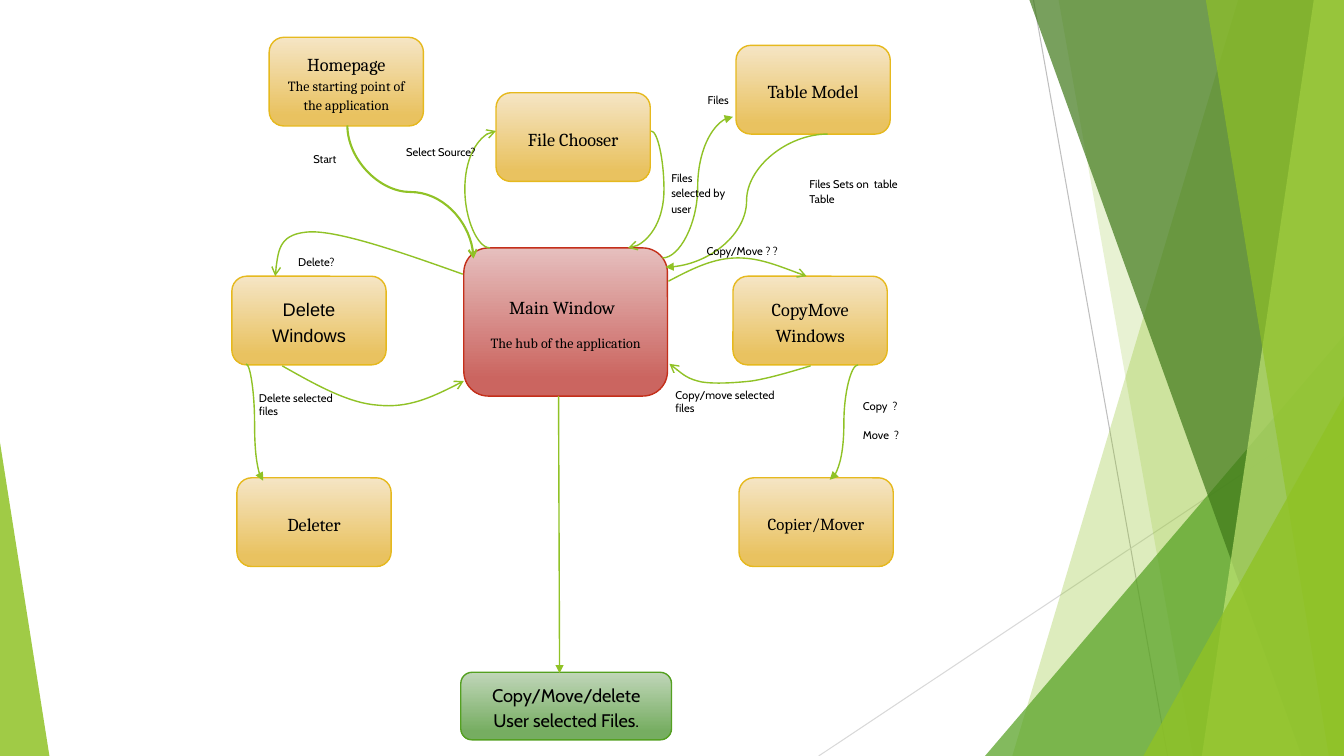
import dataclasses
import lxml.etree
import pptx
import pptx.dml.color
import pptx.enum.shapes
import pptx.enum.text
import pptx.oxml.ns
import pptx.util

Inches = pptx.util.Inches
Pt = pptx.util.Pt
qn = pptx.oxml.ns.qn
SHAPE = pptx.enum.shapes.MSO_SHAPE
CONNECTOR = pptx.enum.shapes.MSO_CONNECTOR
ALIGN = pptx.enum.text.PP_ALIGN
ANCHOR = pptx.enum.text.MSO_ANCHOR


@dataclasses.dataclass(frozen=True)
class Theme:
    text: str = "000000"
    lime: str = "90C226"
    green: str = "54A021"
    forest: str = "3F7819"
    pale: str = "C0E474"
    gray: str = "BFBFBF"
    light_gray: str = "D9D9D9"
    step: tuple = ("F5E5C5", "E9C260", "E6B91E")
    hub: tuple = ("E6BFBE", "CB6560", "C42F1A")
    result: tuple = ("C0D6B9", "76AD61", "54A021")
    serif: str = "Cambria"
    sans: str = "Cabin"
    plain: str = "Arial"
    heading: int = 13
    small_heading: int = 12
    detail: int = 10
    label: int = 8


THEME = Theme()


def rgb(value):
    return pptx.dml.color.RGBColor.from_string(value)


def write(tf, text, size=THEME.heading, font=THEME.serif, align=ALIGN.CENTER,
          spacing=1.15, after=10, indent=0):
    p = tf.add_paragraph() if tf.text else tf.paragraphs[0]
    p.alignment = align
    p.line_spacing = spacing
    p.space_after = Pt(after)
    if indent:
        p._p.get_or_add_pPr().set("marL", str(Inches(indent)))
    r = p.add_run()
    r.text = text
    r.font.size = Pt(size)
    r.font.name = font
    r.font.color.rgb = rgb(THEME.text)


class Diagram:
    def __init__(self, slide, theme):
        self.shapes = slide.shapes
        self.theme = theme

    def tint(self, sp, color, opacity):
        sp.shadow.inherit = False
        sp.line.fill.background()
        sp.fill.solid()
        sp.fill.fore_color.rgb = rgb(color)
        clr = sp._element.spPr.find(".//" + qn("a:srgbClr"))
        lxml.etree.SubElement(clr, qn("a:alpha")).set("val", str(opacity * 1000))

    def outline(self, points):
        start, *rest = [(Inches(x), Inches(y)) for x, y in points]
        return self.shapes.build_freeform(*start).add_line_segments(rest, close=False)

    def facet(self, points, color, opacity):
        builder = self.outline(points + points[:1])
        self.tint(builder.convert_to_shape(), color, opacity)

    def triangle(self, box, apex, color, opacity):
        sp = self.shapes.add_shape(SHAPE.ISOSCELES_TRIANGLE, *map(Inches, box))
        sp.adjustments[0] = apex
        self.tint(sp, color, opacity)

    def node(self, box, colors, *paragraphs):
        sp = self.shapes.add_shape(SHAPE.ROUNDED_RECTANGLE, *map(Inches, box))
        sp.shadow.inherit = False
        sp.fill.gradient()
        sp.fill.gradient_angle = 270
        for stop, color, position in zip(sp.fill.gradient_stops, colors, (0, 0.88)):
            stop.color.rgb = rgb(color)
            stop.position = position
        sp.line.color.rgb = rgb(colors[2])
        sp.line.width = Pt(1)
        sp.text_frame.vertical_anchor = ANCHOR.MIDDLE
        sp.text_frame.word_wrap = True
        for text, fmt in paragraphs:
            write(sp.text_frame, text, **fmt)

    def label(self, box, *lines, **fmt):
        tf = self.shapes.add_textbox(*map(Inches, box)).text_frame
        tf.word_wrap = True
        for text in lines:
            write(tf, text, size=self.theme.label, font=self.theme.sans,
                  align=ALIGN.LEFT, **fmt)

    def stroke(self, sp, color, width, head):
        sp.line.color.rgb = rgb(color)
        sp.line.width = Pt(width)
        if head:
            ln = sp.line._get_or_add_ln()
            lxml.etree.SubElement(ln, qn("a:tailEnd")).set("type", head)

    def connect(self, start, end, kind=CONNECTOR.CURVE, color=THEME.lime, width=1,
                head="triangle", bend=None, turned=False):
        sp = self.shapes.add_connector(kind, *map(Inches, start + end))
        self.stroke(sp, color, width, head)
        spPr = sp._element.spPr
        lxml.etree.SubElement(spPr, qn("a:effectLst"))
        if bend is not None:
            guide = lxml.etree.SubElement(spPr.find(".//" + qn("a:avLst")), qn("a:gd"))
            guide.set("name", "adj1")
            guide.set("fmla", f"val {round(bend * 100000)}")
        if turned:
            xfrm = spPr.find(qn("a:xfrm"))
            xfrm.set("rot", "16200000")
            xfrm.set("flipH", "1")

    def bezier(self, points):
        sp = self.outline(points).convert_to_shape()
        sp.shadow.inherit = False
        sp.fill.background()
        self.stroke(sp, self.theme.lime, 1, "arrow")
        path = sp._element.spPr.find(".//" + qn("a:path"))
        segments = path.findall(qn("a:lnTo"))
        for i in range(0, len(segments), 3):
            curve = lxml.etree.SubElement(path, qn("a:cubicBezTo"))
            for segment in segments[i:i + 3]:
                curve.append(segment[0])
                path.remove(segment)


def draw_backdrop(d):
    t = d.theme
    d.connect((10.25, 0), (11.58, 7.5), CONNECTOR.STRAIGHT, t.gray, 0.75, None)
    d.connect((13.33, 4.03), (8.12, 7.5), CONNECTOR.STRAIGHT, t.light_gray, 0.75, None)

    def band(top, bottom, color, opacity):
        d.facet([(top, 0), (13.33, 0), (13.33, 7.5), (bottom, 7.5)], color, opacity)

    band(12.28, 10.04, t.lime, 30)
    band(10.5, 11.83, t.lime, 20)
    d.triangle((9.77, 3.33, 3.56, 4.17), 1, t.green, 72)
    band(10.21, 12.91, t.forest, 70)
    band(13.03, 11.92, t.pale, 70)
    band(11.96, 13.18, t.lime, 65)
    d.triangle((11.34, 3.93, 1.99, 3.57), 1, t.lime, 80)
    d.triangle((0, 4.39, 0.49, 3.11), 0, t.lime, 85)


def draw_nodes(d):
    t = d.theme
    detail = {"size": t.detail}
    steps = [
        (2.67, 0.37, ("Homepage", {"after": 0}),
         ("The starting point of the application", detail)),
        (4.92, 0.92, ("File Chooser", {})),
        (2.3, 2.74, ("Delete Windows", {"font": t.plain})),
        (2.35, 4.74, ("Deleter", {})),
        (7.33, 4.74, ("Copier/Mover", {"size": t.small_heading})),
        (7.27, 2.74, ("CopyMove Windows", {})),
        (7.3, 0.45, ("Table Model", {})),
    ]
    for left, top, *paragraphs in steps:
        d.node((left, top, 1.53, 0.88), t.step, *paragraphs)
    d.node((4.6, 2.46, 2.02, 1.47), t.hub,
           ("Main Window", {"align": ALIGN.LEFT, "indent": 0.28}),
           ("The hub of the application", detail))
    result = {"font": t.sans, "after": 0}
    d.node((4.57, 6.67, 2.09, 0.67), t.result,
           ("Copy/Move/delete", result), ("User selected Files.", result))


def draw_flows(d):
    d.connect((3.41, 1.28), (4.73, 2.53), width=1.5, head="arrow", turned=True)
    d.connect((4.86, 2.46), (4.92, 1.3), head="arrow", bend=-4.17)
    d.connect((6.46, 1.3), (6.23, 2.46), head="arrow", bend=-0.55)
    d.connect((8.51, 3.62), (8.23, 4.76))
    d.connect((6.57, 2.56), (7.27, 1.16))
    d.connect((8.21, 1.33), (6.6, 2.65))
    d.connect((2.44, 3.61), (2.61, 4.77))
    d.connect((5.54, 3.93), (5.55, 6.68), CONNECTOR.STRAIGHT)
    d.bezier([(4.59, 2.72), (4, 2.51), (3.4, 2.3), (3.09, 2.3),
              (2.78, 2.31), (2.75, 2.52), (2.73, 2.74)])
    d.bezier([(2.8, 3.63), (3.12, 3.81), (3.45, 4), (3.75, 4.02),
              (4.05, 4.05), (4.33, 3.92), (4.6, 3.78)])
    d.bezier([(8.04, 3.63), (7.84, 3.69), (7.64, 3.75), (7.46, 3.78), (7.28, 3.8),
              (7.09, 3.81), (6.96, 3.79), (6.82, 3.76), (6.73, 3.68), (6.64, 3.61)])
    d.bezier([(6.63, 2.79), (6.84, 2.68), (7.05, 2.57), (7.28, 2.56),
              (7.51, 2.55), (7.75, 2.65), (8, 2.74)])


def draw_labels(d):
    d.label((3.01, 1.44, 0.54, 0.26), "Start")
    d.label((6.91, 2.36, 1.09, 0.26), "Copy/Move ? ?")
    d.label((3.93, 1.37, 0.94, 0.26), "Select Source?")
    d.label((6.56, 1.63, 0.77, 0.56), "Files selected by user")
    d.label((2.86, 2.46, 0.97, 0.26), "Delete?")
    d.label((8.46, 3.89, 0.71, 0.79), "Copy  ?", "Move  ?")
    d.label((7.93, 1.69, 1.24, 0.25), "Files Sets on  table Table")
    d.label((6.92, 0.86, 0.48, 0.25), "Files")
    d.label((6.6, 3.8, 1.2, 0.56), "Copy/move selected", "files", spacing=1, after=0)
    d.label((2.47, 3.83, 1.02, 0.4), "Delete selected", "files", spacing=1, after=0)


def main():
    prs = pptx.Presentation()
    prs.slide_width = Inches(13.33)
    prs.slide_height = Inches(7.5)
    d = Diagram(prs.slides.add_slide(prs.slide_layouts[6]), THEME)
    draw_backdrop(d)
    draw_nodes(d)
    draw_flows(d)
    draw_labels(d)
    prs.save("out.pptx")


if __name__ == "__main__":
    main()
